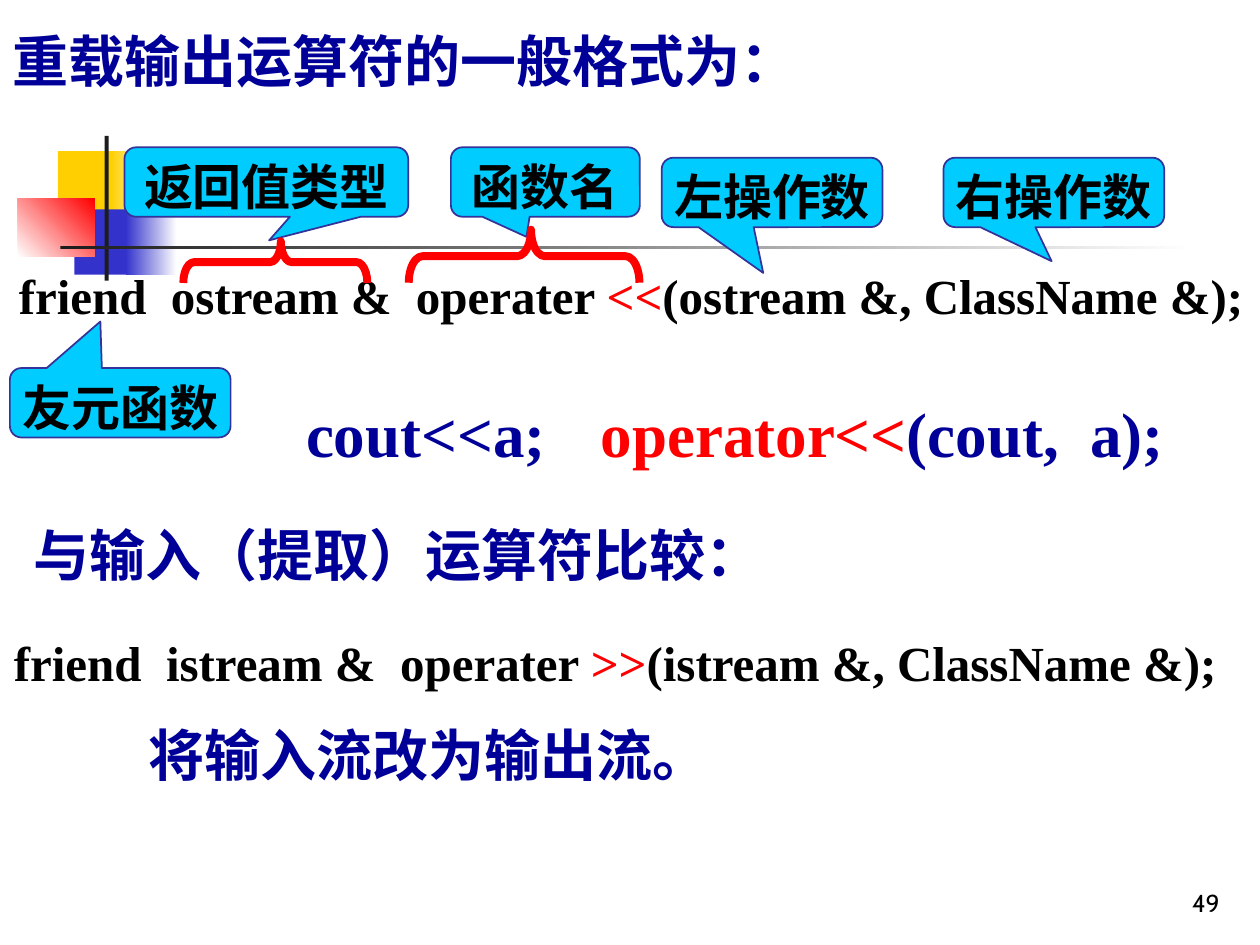
"""Build the slide on overloading the stream output operator."""
from pptx import Presentation
from pptx.dml.color import RGBColor
from pptx.enum.shapes import MSO_SHAPE
from pptx.enum.text import MSO_ANCHOR, MSO_AUTO_SIZE, PP_ALIGN
from pptx.util import Cm, Pt

BLACK = RGBColor(0x00, 0x00, 0x00)
INK = RGBColor(0x1C, 0x1C, 0x1C)
WHITE = RGBColor(0xFF, 0xFF, 0xFF)
RED = RGBColor(0xFF, 0x00, 0x00)
GOLD = RGBColor(0xFF, 0xCF, 0x01)
BLUE = RGBColor(0x33, 0x33, 0xCC)
NAVY = RGBColor(0x00, 0x00, 0x99)
EDGE = RGBColor(0x33, 0x33, 0x99)
CYAN = RGBColor(0x00, 0xCC, 0xFF)


def add_shape(kind, box):
    shape = slide.shapes.add_shape(kind, *map(Cm, box))
    shape.shadow.inherit = False
    return shape


def write(frame, runs, size, lead=1.0, align=PP_ALIGN.LEFT, face="Times New Roman", bold=True):
    frame.auto_size = MSO_AUTO_SIZE.NONE
    frame.vertical_anchor = MSO_ANCHOR.TOP
    para = frame.paragraphs[0]
    para.alignment = align
    para.line_spacing = lead
    para.space_before = Pt(size * 0.625)
    para.font.name, para.font.size, para.font.bold = face, Pt(size), bold
    for text, color in runs:
        run = para.add_run()
        run.text = text
        run.font.color.rgb = color


deck = Presentation()
deck.slide_width, deck.slide_height = Cm(25.4), Cm(19.05)
slide = deck.slides.add_slide(deck.slide_layouts[5])

blocks = [
    ((1.17, 3.05, 1.22, 1.32), GOLD, GOLD, 0),
    ((2.24, 3.05, 0.91, 1.32), GOLD, WHITE, 0),
    ((1.5, 4.22, 1.17, 1.32), BLUE, BLUE, 0),
    ((2.54, 4.22, 1.02, 1.32), BLUE, WHITE, 0),
    ((0.36, 4.01, 1.55, 1.17), WHITE, RED, 45),
    ((2.11, 2.74, 0.08, 2.92), INK, INK, 0),
    ((1.22, 4.95, 22.86, 0.08), INK, WHITE, 0),
]
for box, start, end, angle in blocks:
    block = add_shape(MSO_SHAPE.RECTANGLE, box)
    block.line.fill.background()
    if start == end:
        block.fill.solid()
        block.fill.fore_color.rgb = start
    else:
        block.fill.gradient()
        block.fill.gradient_angle = angle
        for stop, color in zip(block.fill.gradient_stops, (start, end)):
            stop.color.rgb = color

title = slide.shapes.title
title.left, title.top, title.width, title.height = map(Cm, (0, 0, 24.77, 2.03))
write(title.text_frame, [("重载输出运算符的一般格式为：", NAVY)], 32, 1.3)

labels = [
    ("友元函数", 0.2, 7.42, 4.45, -0.09, -1.17),
    ("返回值类型", 2.51, 2.97, 5.72, 0.01, 0.84),
    ("函数名", 9.09, 2.97, 3.81, -0.1, 0.79),
    ("左操作数", 13.34, 3.18, 4.45, -0.04, 1.16),
    ("右操作数", 19.02, 3.18, 4.45, -0.01, 0.99),
]
for text, left, top, width, tip_x, tip_y in labels:
    label = add_shape(MSO_SHAPE.ROUNDED_RECTANGULAR_CALLOUT, (left, top, width, 1.4))
    label.adjustments[0], label.adjustments[1] = tip_x, tip_y
    label.fill.solid()
    label.fill.fore_color.rgb = CYAN
    label.line.color.rgb = EDGE
    label.line.width = Pt(1)
    frame = label.text_frame
    frame.margin_left = frame.margin_right = Cm(0.05)
    frame.margin_top = frame.margin_bottom = 0
    write(frame, [(text, BLACK)], 28, 1.1, PP_ALIGN.CENTER)

texts = [
    ((0.13, 4.88, 25.25, 1.8), 28, 1.3, [
        ("friend  ostream &  operater ", BLACK), ("<<", RED),
        ("(ostream &, ClassName &);", BLACK)]),
    ((5.92, 7.82, 6.35, 1.78), 36, 1.0, [("cout<<a;", NAVY)]),
    ((11.86, 7.82, 12.07, 1.78), 36, 1.0, [("operator<<", RED), ("(cout,  a);", NAVY)]),
    ((0.43, 10.36, 20.75, 1.63), 32, 1.0, [("与输入（提取）运算符比较：", NAVY)]),
    ((0.03, 12.27, 24.79, 1.8), 28, 1.3, [
        ("friend  istream &  operater ", BLACK), (">>", RED),
        ("(istream &, ClassName &);", BLACK)]),
    ((2.74, 14.4, 13.77, 1.63), 32, 1.0, [("将输入流改为输出流。", NAVY)]),
]
for box, size, lead, runs in texts:
    frame = slide.shapes.add_textbox(*map(Cm, box)).text_frame
    frame.word_wrap = size != 28
    write(frame, runs, size, lead)

for box in [(10.03, 2.84, 1.07, 4.65), (5.13, 3.43, 0.84, 3.71)]:
    brace = add_shape(MSO_SHAPE.LEFT_BRACE, box)
    brace.rotation = 90
    brace.adjustments[0], brace.adjustments[1] = 0.26, 0.47
    brace.fill.background()
    brace.line.color.rgb = RED
    brace.line.width = Pt(4.5)

frame = slide.shapes.add_textbox(*map(Cm, (19.56, 17.35, 5.28, 1.27))).text_frame
frame.word_wrap = True
write(frame, [("49", BLACK)], 14, align=PP_ALIGN.RIGHT, face="Cabin", bold=False)
frame.paragraphs[0].space_before = Pt(0)
frame.vertical_anchor = MSO_ANCHOR.BOTTOM

deck.save("out.pptx")
